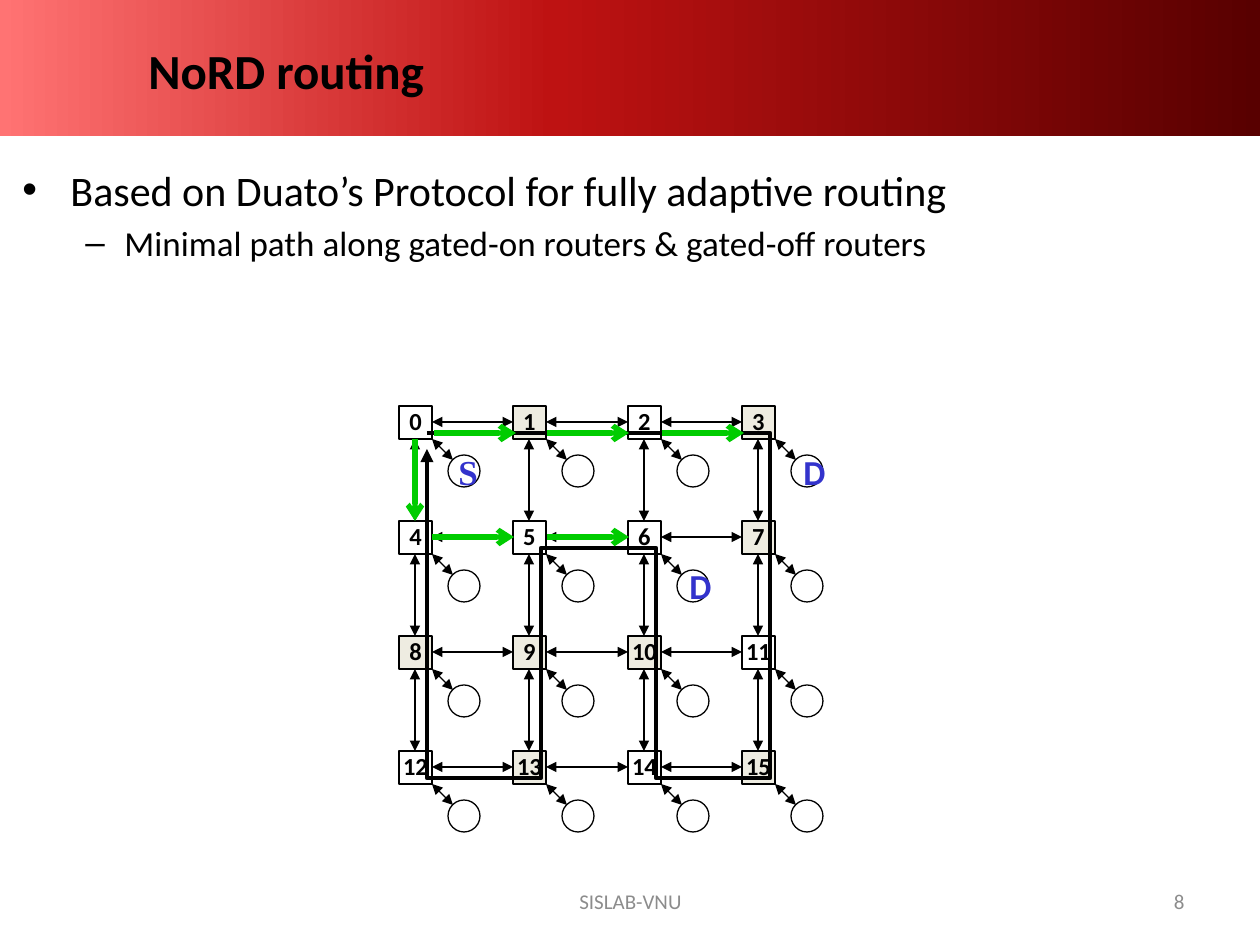
from copy import deepcopy
from dataclasses import dataclass

from lxml.etree import SubElement
from pptx import Presentation
from pptx.dml.color import RGBColor
from pptx.enum.shapes import MSO_CONNECTOR, MSO_SHAPE
from pptx.enum.text import MSO_ANCHOR, PP_ALIGN
from pptx.oxml.ns import qn
from pptx.util import Pt

SCALE = 914400 // 126  # EMU per pixel


@dataclass(frozen=True)
class Theme:
    black: str = "000000"
    white: str = "FFFFFF"
    gated: str = "EEECE1"
    route: str = "00CC00"
    endpoint: str = "3333CC"
    muted: str = "8C8C8C"
    banner: tuple = ((0, "FF7373"), (0.44, "BE1212"), (1, "580000"))
    font: str = "Calibri"
    serif: str = "Times New Roman"
    title: int = 28
    bullet: int = 24
    label: int = 20
    router: int = 14
    footer: int = 12


THEME = Theme()


def px(*lengths):
    return [round(length * SCALE) for length in lengths]


def rgb(code):
    return RGBColor.from_string(code)


def write_text(frame, text, *, size, color=THEME.black, font=THEME.font, bold=False,
               align=PP_ALIGN.LEFT, bullet=None, level=0, indent=(0, 0), before=0):
    """Fill the frame's empty first paragraph, or add another one."""
    paragraph = frame.add_paragraph() if frame.text else frame.paragraphs[0]
    paragraph.alignment, paragraph.level = align, level
    paragraph.space_before = Pt(before)
    if bullet:
        props = paragraph._p.get_or_add_pPr()
        left, hanging = px(*indent)
        props.set("marL", str(left))
        props.set("indent", str(hanging))
        SubElement(props, qn("a:buFont"), typeface="Arial")
        SubElement(props, qn("a:buChar"), char=bullet)
    run = paragraph.add_run()
    run.text = text
    run.font.size, run.font.name, run.font.bold = Pt(size), font, bold
    run.font.color.rgb = rgb(color)


def text_frame(slide, box, anchor=MSO_ANCHOR.TOP):
    frame = slide.shapes.add_textbox(*px(*box)).text_frame
    frame.word_wrap, frame.vertical_anchor = True, anchor
    return frame


def add_node(slide, kind, box, fill):
    node = slide.shapes.add_shape(kind, *px(*box))
    node.shadow.inherit = False
    node.fill.solid()
    node.fill.fore_color.rgb = rgb(fill)
    node.line.color.rgb = rgb(THEME.black)
    node.line.width = Pt(0.75)
    return node


def style_line(stroke, color, width, head=None, tail=None):
    stroke.line.color.rgb = rgb(color)
    stroke.line.width = Pt(width)
    outline = stroke._element.spPr.find(qn("a:ln"))
    for end, arrow in (("a:headEnd", head), ("a:tailEnd", tail)):
        if arrow:
            SubElement(outline, qn(end), type=arrow)


def add_line(slide, start, end, **style):
    link = slide.shapes.add_connector(MSO_CONNECTOR.STRAIGHT, *px(*start, *end))
    style_line(link, **style)
    SubElement(link._element.spPr, qn("a:effectLst"))


def add_banner(slide, box):
    left, top, width, height = box
    band = slide.shapes.add_shape(MSO_SHAPE.RECTANGLE, *px(*box))
    band.shadow.inherit = False
    band.line.fill.background()
    band.fill.gradient()
    band.fill.gradient_angle = 0
    stops = band._element.spPr.find(qn("a:gradFill")).find(qn("a:gsLst"))
    stops.append(deepcopy(stops[-1]))
    for stop, (position, color) in zip(band.fill.gradient_stops, THEME.banner):
        stop.position, stop.color.rgb = position, rgb(color)
    title = text_frame(slide, (left + 136, top + 21, width - 199, height - 38), MSO_ANCHOR.MIDDLE)
    write_text(title, "NoRD routing", size=THEME.title, bold=True)


def add_bullets(slide, box):
    body = text_frame(slide, box)
    write_text(body, "Based on Duato’s Protocol for fully adaptive routing",
               size=THEME.bullet, bullet="•", indent=(48, -48), before=4.8)
    write_text(body, "Minimal path along gated-on routers & gated-off routers",
               size=THEME.label, bullet="–", level=1, indent=(102, -39), before=4)


def add_mesh(slide, box):
    """A 4 x 4 mesh of routers, each with a terminal, and the bypass ring."""
    left, top, width, height = box
    count, side, terminal, offset = 4, 33, 32, 49
    reach = offset + terminal
    step_x = (width - reach) / (count - 1)
    step_y = (height - reach) / (count - 1)
    gated_off = {1, 3, 7, 8, 9, 10, 13, 15}
    thin = dict(color=THEME.black, width=0.75, head="triangle", tail="triangle")
    green = dict(color=THEME.route, width=3, tail="arrow")

    def at(col, row, dx=0, dy=0):
        return round(left + col * step_x) + dx, round(top + row * step_y) + dy

    # Links between neighbours
    for line in range(count):
        for gap in range(count - 1):
            add_line(slide, at(gap, line, side, 16), at(gap + 1, line, 0, 16), **thin)
            add_line(slide, at(line, gap, 16, side), at(line, gap + 1, 16), **thin)

    # Routers and terminals
    for number in range(count * count):
        row, col = divmod(number, count)
        fill = THEME.gated if number in gated_off else THEME.white
        router = add_node(slide, MSO_SHAPE.RECTANGLE, (*at(col, row), side, side), fill)
        frame = router.text_frame
        frame.margin_left = frame.margin_right = frame.margin_top = frame.margin_bottom = 0
        frame.vertical_anchor = MSO_ANCHOR.TOP
        write_text(frame, str(number), size=THEME.router, bold=True, align=PP_ALIGN.CENTER)
        add_node(slide, MSO_SHAPE.OVAL,
                 (*at(col, row, offset, offset), terminal, terminal), THEME.white)
        add_line(slide, at(col, row, side, side), at(col, row, 54, 54), **thin)

    # Bypass ring
    corners = [(0, 0), (3, 0), (3, 3), (2, 3), (2, 1), (1, 1), (1, 3), (0, 3)]
    points = [px(*at(col, row, 28, 27)) for col, row in corners]
    points.append(px(*at(0, 0, 28, 43)))
    outline = slide.shapes.build_freeform(*points[0])
    outline.add_line_segments(points[1:], close=False)
    ring = outline.convert_to_shape()
    ring.shadow.inherit = False
    ring.fill.background()
    style_line(ring, THEME.black, 2.5, tail="triangle")

    # Chosen routes
    add_line(slide, at(0, 0, 16, side), at(0, 1, 16), **green)
    for col, row, dx, dy in ((0, 0, 35, 27), (1, 0, 34, 27), (2, 0, 34, 27),
                             (0, 1, 33, 16), (1, 1, 34, 16)):
        add_line(slide, at(col, row, dx, dy), at(col, row, dx + 82, dy), **green)

    # Source and destinations
    for name, col, row, dx, dy, font in (("S", 0, 0, 47, 38, THEME.serif),
                                         ("D", 2, 1, 49, 37, THEME.font),
                                         ("D", 3, 0, 49, 38, THEME.font)):
        label = text_frame(slide, (*at(col, row, dx, dy), 39, 53))
        write_text(label, name, size=THEME.label, color=THEME.endpoint, font=font,
                   bold=True, align=PP_ALIGN.CENTER)


def add_footer(slide, box):
    left, top, width, height = box
    for text, start, span, align in (("SISLAB-VNU", left, 399, PP_ALIGN.CENTER),
                                     ("8", left + width - 294, 294, PP_ALIGN.RIGHT)):
        frame = text_frame(slide, (start, top, span, height), MSO_ANCHOR.MIDDLE)
        write_text(frame, text, size=THEME.footer, color=THEME.muted, align=align)


deck = Presentation()
deck.slide_width, deck.slide_height = px(1260, 945)
routing = deck.slides.add_slide(deck.slide_layouts[6])
add_banner(routing, (0, 0, 1260, 136))
add_bullets(routing, (10, 158, 1245, 683))
add_mesh(routing, (399, 406, 424, 426))
add_footer(routing, (431, 876, 766, 50))
deck.save("out.pptx")
